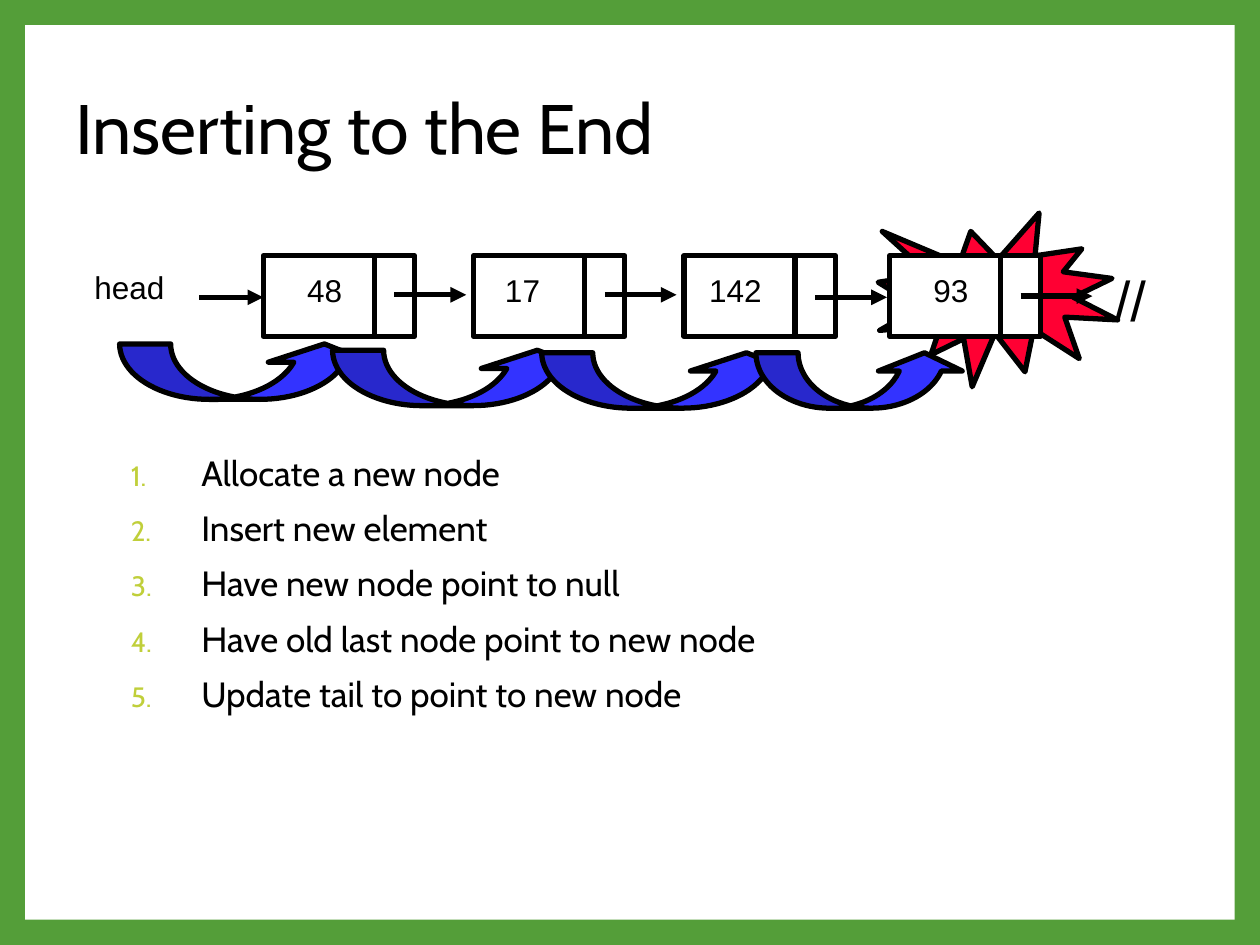
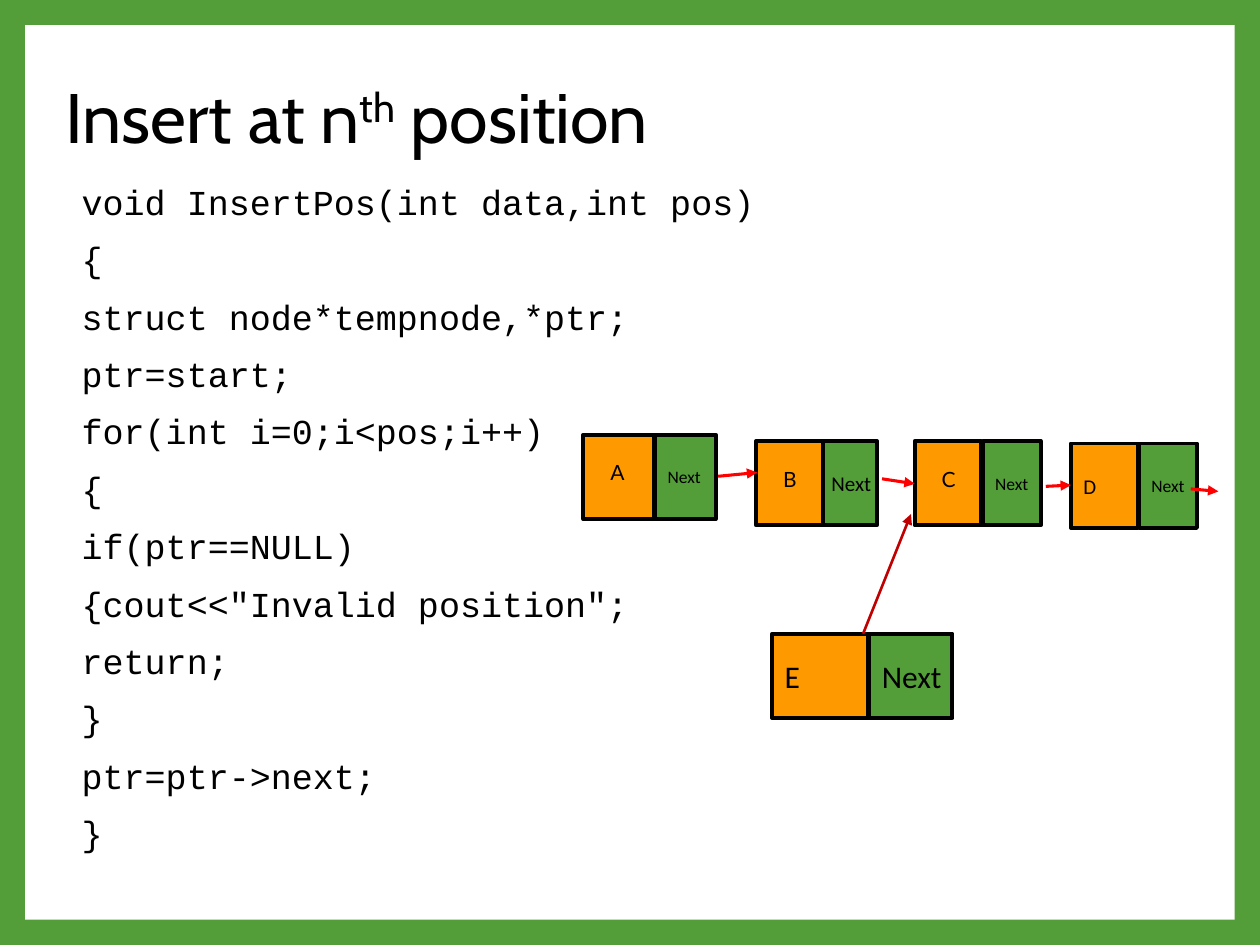
"""Build two slides on inserting nodes into a linked list."""
from dataclasses import dataclass

from lxml import etree
from pptx import Presentation
from pptx.dml.color import RGBColor
from pptx.enum import shapes, text
from pptx.oxml import ns
from pptx.util import Inches, Pt


@dataclass(frozen=True)
class Theme:
    frame: str = "549E39"
    paper: str = "FFFFFF"
    ink: str = "000000"
    number: str = "C0CF3A"
    burst: str = "FF0033"
    hop: str = "3333FF"
    data: str = "FF9900"
    link: str = "FF0000"
    new_link: str = "C00000"
    heading: str = "Cabin"
    code: str = "Courier New"
    diagram: str = "Arial"
    letter: str = "Lato"
    cell: str = "Calibri"
    title_size: int = 40
    body_size: int = 20
    label_size: int = 18
    null_size: int = 32
    letter_size: int = 12
    small_size: int = 10


THEME = Theme()

END_TITLE = [("Inserting to the End", 0)]
END_STEPS = [
    "Allocate a new node",
    "Insert new element",
    "Have new node point to null",
    "Have old last node point to new node",
    "Update tail to point to new node",
]
OLD_NODES = [("48", 0.25, 2.34), ("17", 0.15, 2.34), ("142", 0.1, 2.36)]
NEW_NODE = ("93", 0.25, 2.35)
FIRST_NODE_LEFT, NODE_PITCH, NEW_NODE_LEFT = 2.09, 1.67, 7.06
NODE_TOP, NODE_WIDTH, NODE_HEIGHT = 2.03, 1.2, 0.64
LONG_HOP, SHORT_HOP = (0.92, 1.84, 0.33), (0.76, 1.51, 0.33)
HOPS = [
    (0.95, 2.73, 2.03, LONG_HOP),
    (2.64, 2.78, 2.03, LONG_HOP),
    (4.3, 2.8, 2.03, LONG_HOP),
    (6, 2.8, 1.67, SHORT_HOP),
]

POSITION_TITLE = [("Insert at n", 0), ("th", 30000), (" position", 0)]
CODE_LINES = [
    "void InsertPos(int data,int pos)",
    "{",
    "struct node*tempnode,*ptr;",
    "ptr=start;",
    "for(int i=0;i<pos;i++)",
    "{",
    "if(ptr==NULL)",
    '{cout<<"Invalid position";',
    "return;",
    "}",
    "ptr=ptr->next;",
    "}",
]
BADGE_CELLS = [
    ("A", 4.63, 3.45, 0.56, 5.2, 0.48, THEME.small_size),
    ("B", 6, 3.5, 0.53, 6.5, 0.46, THEME.letter_size),
    ("C", 7.26, 3.5, 0.53, 7.8, 0.46, THEME.small_size),
]
PLAIN_CELLS = [
    ("D", 8.5, 3.52, 0.53, 9.04, 0.46, THEME.small_size, THEME.letter_size),
    ("E", 6.13, 5.03, 0.76, 6.9, 0.66, THEME.label_size, THEME.label_size),
]
LINKS = [
    (5.7, 3.78, 6.01, 3.75),
    (7, 3.8, 7.26, 3.84),
    (8.3, 3.86, 8.5, 3.85),
    (9.45, 3.88, 9.67, 3.9),
]
NEW_LINK = (6.85, 5.03, 7.23, 4.08)
CELL_HEIGHT = 0.67


def color(value):
    return RGBColor.from_string(value)


def style_font(font, name, size):
    font.name, font.size = name, Pt(size)
    font.color.rgb = color(THEME.ink)


def write(shape, words, name, size, anchor=text.MSO_ANCHOR.TOP, centered=False):
    frame = shape.text_frame
    frame.word_wrap = True
    frame.vertical_anchor = anchor
    frame.margin_left = Inches(0 if centered else 0.1)
    frame.margin_right = 0
    paragraph = frame.paragraphs[0]
    paragraph.text = words
    paragraph.alignment = text.PP_ALIGN.CENTER if centered else text.PP_ALIGN.LEFT
    style_font(paragraph.font, name, size)


def add_label(parts, words, left, top, width, height, size):
    box = parts.add_textbox(*map(Inches, (left, top, width, height)))
    write(box, words, THEME.diagram, size)


def add_block(parts, kind, box, fill=None, line_width=None):
    shape = parts.add_shape(kind, *map(Inches, box))
    shape.shadow.inherit = False
    if fill:
        shape.fill.solid()
        shape.fill.fore_color.rgb = color(fill)
    else:
        shape.fill.background()
    if line_width:
        shape.line.color.rgb = color(THEME.ink)
        shape.line.width = Pt(line_width)
    else:
        shape.line.fill.background()
    return shape


def add_line(parts, ends, line_color=THEME.ink, width=3, arrow=True):
    line = parts.add_connector(shapes.MSO_CONNECTOR.STRAIGHT, *map(Inches, ends))
    line.line.color.rgb = color(line_color)
    line.line.width = Pt(width)
    properties = line.element.spPr
    if arrow:
        outline = properties.find(ns.qn("a:ln"))
        etree.SubElement(outline, ns.qn("a:tailEnd"), type="triangle")
    etree.SubElement(properties, ns.qn("a:effectLst"))


def add_slide(presentation, title_runs, title_box):
    slide = presentation.slides.add_slide(presentation.slide_layouts[5])
    title = slide.shapes.title
    title.left, title.top, title.width, title.height = map(Inches, title_box)
    frame = title.text_frame
    frame.auto_size = text.MSO_AUTO_SIZE.NONE
    frame.vertical_anchor = text.MSO_ANCHOR.MIDDLE
    paragraph = frame.paragraphs[0]
    paragraph.alignment = text.PP_ALIGN.LEFT
    paragraph.line_spacing = 0.9
    style_font(paragraph.font, THEME.heading, THEME.title_size)
    for words, baseline in title_runs:
        run = paragraph.add_run()
        run.text = words
        if baseline:
            run.font._element.set("baseline", str(baseline))
    return slide


def add_body(slide, lines, box, font_name, gap, numbered=False):
    frame = slide.shapes.add_textbox(*map(Inches, box)).text_frame
    frame.word_wrap = True
    for index, words in enumerate(lines):
        paragraph = frame.paragraphs[0] if index == 0 else frame.add_paragraph()
        paragraph.text = words
        paragraph.line_spacing = 0.9
        paragraph.space_before = Pt(gap if index else 0)
        style_font(paragraph.font, font_name, THEME.body_size)
        if numbered:
            number_paragraph(paragraph)


def number_paragraph(paragraph):
    properties = paragraph._p.get_or_add_pPr()
    properties.set("marL", str(Inches(0.56)))
    properties.set("indent", str(-Inches(0.56)))
    bullet_color = etree.Element(ns.qn("a:buClr"))
    etree.SubElement(bullet_color, ns.qn("a:srgbClr"), val=THEME.number)
    bullet_size = etree.Element(ns.qn("a:buSzPct"), val="80000")
    numbering = etree.Element(ns.qn("a:buAutoNum"), type="arabicPeriod")
    defaults = properties.find(ns.qn("a:defRPr"))
    for element in (bullet_color, bullet_size, numbering):
        defaults.addprevious(element)


def add_list_node(slide, left, node, fill=None):
    words, label_offset, arrow_y = node
    parts = slide.shapes.add_group_shape().shapes
    box = (left, NODE_TOP, NODE_WIDTH, NODE_HEIGHT)
    add_block(parts, shapes.MSO_SHAPE.RECTANGLE, box, fill, 3)
    divider = left + 0.88
    add_line(parts, (divider, NODE_TOP, divider, NODE_TOP + NODE_HEIGHT), arrow=False)
    add_line(parts, (left + 1.04, arrow_y, left + 1.61, arrow_y))
    add_label(parts, words, left + label_offset, 2.1, 0.76, 0.5, THEME.label_size)


def add_cells(slide, left, top, width, next_left, next_width, next_size):
    parts = slide.shapes.add_group_shape().shapes
    rectangle = shapes.MSO_SHAPE.RECTANGLE
    pointer = add_block(parts, rectangle, (next_left, top, next_width, CELL_HEIGHT), THEME.frame, 2.25)
    write(pointer, "Next", THEME.cell, next_size, text.MSO_ANCHOR.MIDDLE)
    data = add_block(parts, rectangle, (left, top, width, CELL_HEIGHT), THEME.data, 2.25)
    return parts, data


def build_end_slide(presentation):
    slide = add_slide(presentation, END_TITLE, (0.5, 0.42, 9, 1.25))
    add_body(slide, END_STEPS, (0.94, 3.57, 8.1, 3.1), THEME.heading, 10, numbered=True)
    for index, node in enumerate(OLD_NODES):
        add_list_node(slide, FIRST_NODE_LEFT + index * NODE_PITCH, node)
    add_label(slide.shapes, "head", 0.65, 2.08, 0.98, 0.5, THEME.label_size)
    add_line(slide.shapes, (1.58, 2.36, FIRST_NODE_LEFT, 2.36))
    add_block(slide.shapes, shapes.MSO_SHAPE.EXPLOSION1, (6.97, 1.69, 1.9, 1.38), THEME.burst, 3)
    add_list_node(slide, NEW_NODE_LEFT, NEW_NODE, THEME.paper)
    add_label(slide.shapes, "//", 8.75, 2.06, 0.45, 0.63, THEME.null_size)
    for left, top, width, adjustments in HOPS:
        hop = add_block(slide.shapes, shapes.MSO_SHAPE.CURVED_UP_ARROW,
                        (left, top, width, 0.44), THEME.hop, 3)
        for index, value in enumerate(adjustments):
            hop.adjustments[index] = value
    return slide


def build_position_slide(presentation):
    slide = add_slide(presentation, POSITION_TITLE, (0.42, 0.22, 8.1, 1.48))
    add_body(slide, CODE_LINES, (0.55, 1.42, 9, 5.33), THEME.code, 11.2)
    for letter, left, top, width, *pointer in BADGE_CELLS:
        parts, _ = add_cells(slide, left, top, width, *pointer)
        badge = add_block(parts, shapes.MSO_SHAPE.RECTANGLE,
                          (left + 0.12, top + 0.15, 0.3, 0.3), THEME.data)
        write(badge, letter, THEME.letter, THEME.letter_size, centered=True)
    for letter, *cells, size in PLAIN_CELLS:
        _, data = add_cells(slide, *cells)
        write(data, letter, THEME.cell, size, text.MSO_ANCHOR.MIDDLE)
    for ends in LINKS:
        add_line(slide.shapes, ends, THEME.link, 1.75)
    add_line(slide.shapes, NEW_LINK, THEME.new_link, 1.5)


def main():
    presentation = Presentation()
    presentation.slide_width, presentation.slide_height = Inches(10), Inches(7.5)
    background = presentation.slide_master.background.fill
    background.solid()
    background.fore_color.rgb = color(THEME.frame)
    end_slide = build_end_slide(presentation)
    panel = add_block(end_slide.shapes, shapes.MSO_SHAPE.RECTANGLE, (0.2, 0.2, 9.6, 7.1), THEME.paper)
    end_slide.slide_layout.shapes.element.append(panel.element)
    build_position_slide(presentation)
    presentation.save("out.pptx")


if __name__ == "__main__":
    main()
